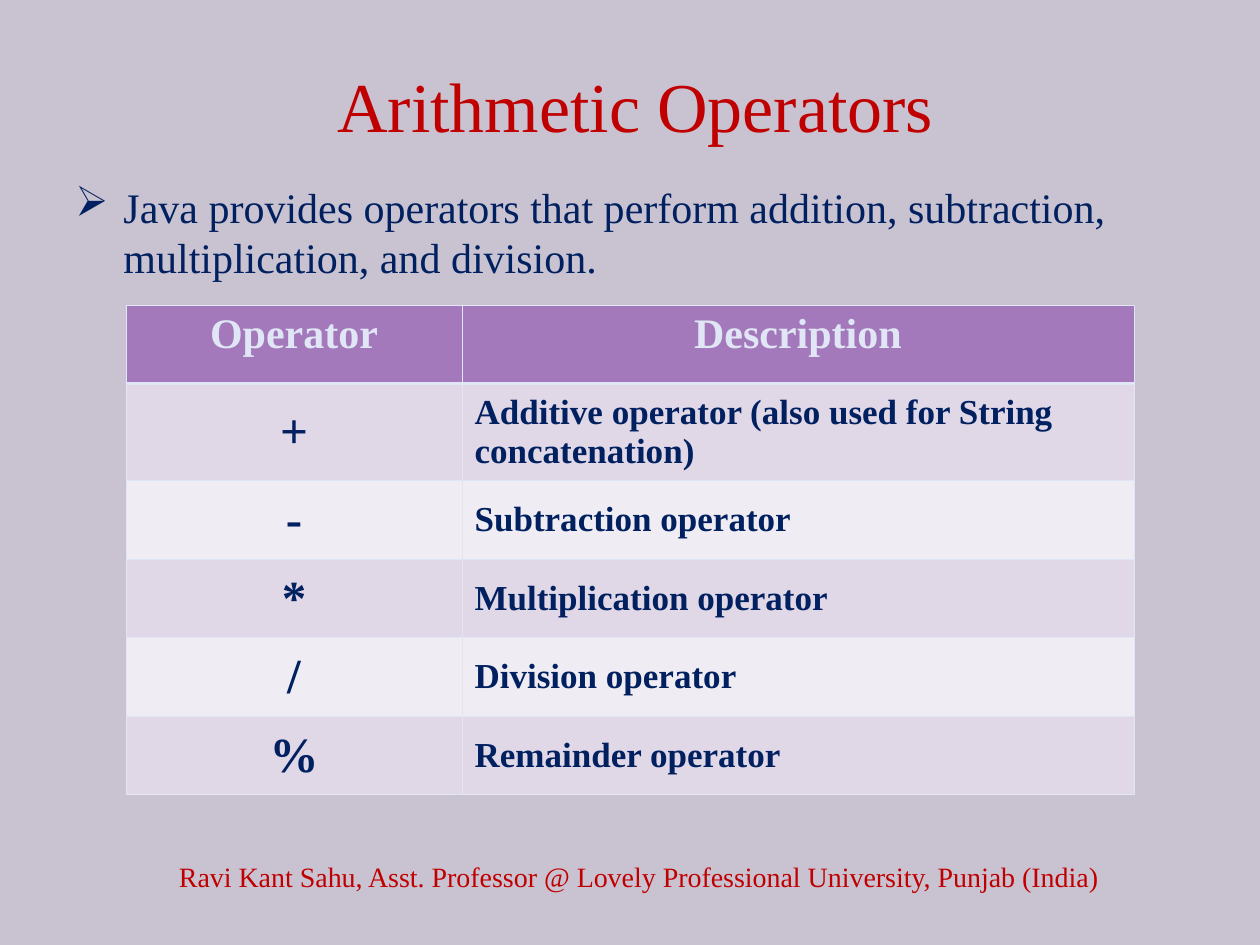
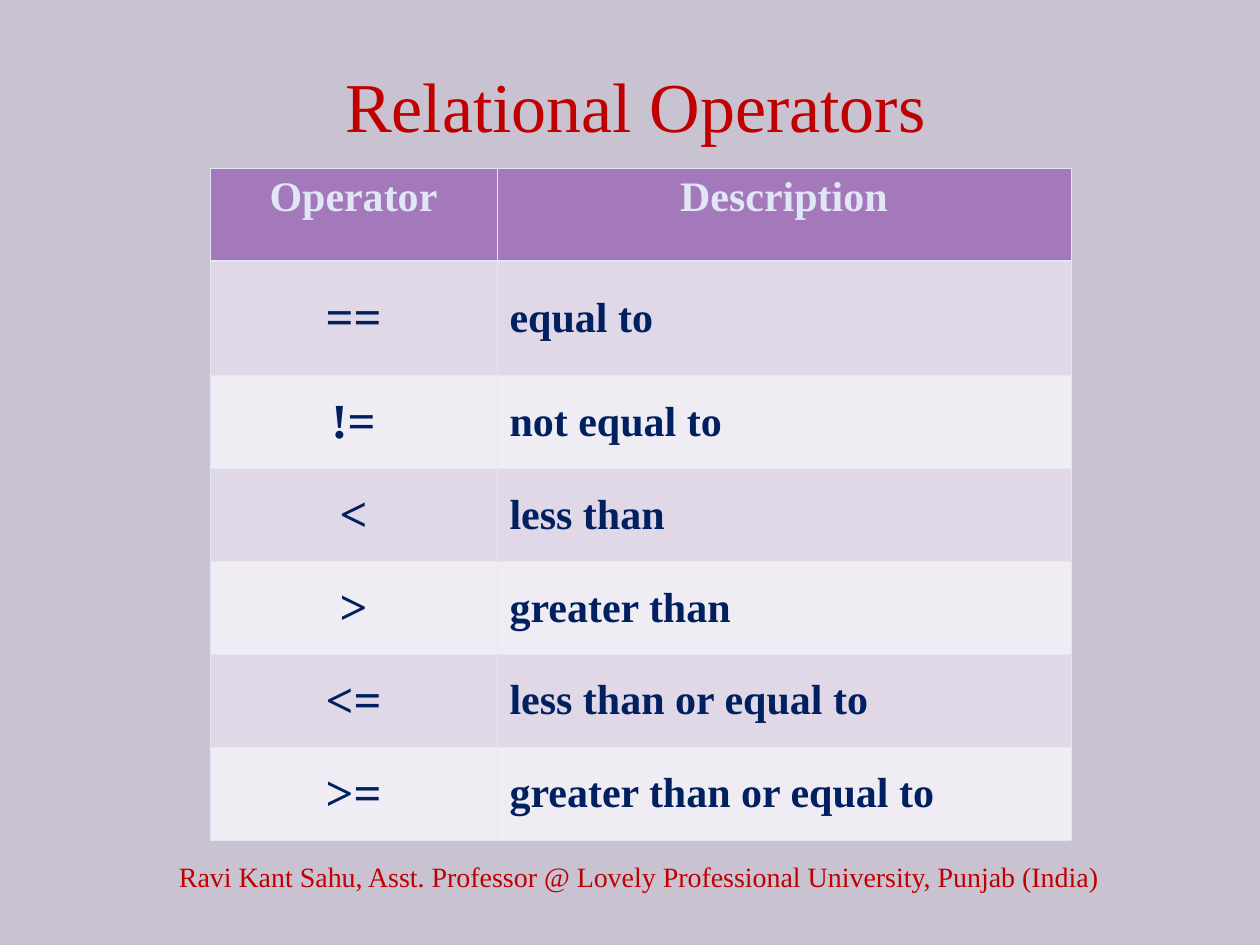
from lxml import etree
from pptx import Presentation
from pptx.dml.color import RGBColor
from pptx.enum.text import MSO_ANCHOR, PP_ALIGN
from pptx.oxml.ns import qn
from pptx.util import Pt

EMU_PER_PX = 914400 / 126
FONT = "Times New Roman"

BACKGROUND = RGBColor(0xC9, 0xC2, 0xD1)
RED = RGBColor(0xC0, 0x00, 0x00)
NAVY = RGBColor(0x00, 0x20, 0x60)
PALE_BLUE = RGBColor(0xE0, 0xE6, 0xF5)
PURPLE = RGBColor(0xA3, 0x79, 0xBB)
LILAC = RGBColor(0xE0, 0xD7, 0xE7)
PALE_LILAC = RGBColor(0xF0, 0xEC, 0xF3)

LEFT, CENTER = PP_ALIGN.LEFT, PP_ALIGN.CENTER
TOP, MIDDLE = MSO_ANCHOR.TOP, MSO_ANCHOR.MIDDLE

FOOTER = "Ravi Kant Sahu, Asst. Professor @ Lovely Professional University, Punjab (India)"
HEADINGS = ("Operator", "Description")
ARITHMETIC = [
    ("+", "Additive operator (also used for String concatenation)"),
    ("-", "Subtraction operator"),
    ("*", "Multiplication operator"),
    ("/", "Division operator"),
    ("%", "Remainder operator"),
]
RELATIONAL = [
    ("==", "equal to"),
    ("!=", "not equal to"),
    ("<", "less than"),
    (">", "greater than"),
    ("<=", "less than or equal to"),
    (">=", "greater than or equal to"),
]


def px(length):
    return round(length * EMU_PER_PX)


def add_bullet(para, symbol, color, indent):
    properties = para._p.get_or_add_pPr()
    properties.set("marL", str(px(indent)))
    properties.set("indent", str(-px(indent)))
    bullet_color = etree.SubElement(properties, qn("a:buClr"))
    etree.SubElement(bullet_color, qn("a:srgbClr"), val=str(color))
    etree.SubElement(properties, qn("a:buChar"), char=symbol)


def write(frame, text, *, size, color, bold=False, align=LEFT, bullet=None):
    """Fill a text frame or table cell frame with one formatted paragraph."""
    frame.word_wrap = True
    para = frame.paragraphs[0]
    para.alignment = align
    if bullet:
        add_bullet(para, bullet, color, indent=48)
    span = para.add_run()
    span.text = text
    span.font.name = FONT
    span.font.size = Pt(size)
    span.font.bold = bold
    span.font.color.rgb = color


def add_text(page, text, left, top, width, height, *, inset_top=6, anchor=TOP, **style):
    box = page.shapes.add_textbox(px(left), px(top), px(width), px(height))
    frame = box.text_frame
    frame.margin_top = px(inset_top)
    frame.vertical_anchor = anchor
    write(frame, text, **style)


def set_borders(cell, color, **widths):
    """Draw the cell sides given as L, R, T and B, in points."""
    properties = cell._tc.get_or_add_tcPr()
    for side in "LRTB":
        line = etree.SubElement(properties, qn(f"a:ln{side}"), w=str(Pt(widths[side])))
        fill = etree.SubElement(line, qn("a:solidFill"))
        etree.SubElement(fill, qn("a:srgbClr"), val=str(color))


def add_operator_table(page, rows, left, top, width, height, *, tall_row, description_size):
    """Rows share the height equally, except the taller first one under the header."""
    count = len(rows) + 1
    table = page.shapes.add_table(
        count, 2, px(left), px(top), px(width), px(height)).table
    table.columns[0].width = px(width / 3)
    table.columns[1].width = px(width * 2 / 3)
    normal_row = (height - tall_row) / (count - 1)
    thin, thick = 0.45, 1.47

    for row_index, texts in enumerate([HEADINGS, *rows]):
        is_header = row_index == 0
        table.rows[row_index].height = px(tall_row if row_index == 1 else normal_row)
        row_fill = PURPLE if is_header else (PALE_LILAC, LILAC)[row_index % 2]
        for column, text in enumerate(texts):
            cell = table.cell(row_index, column)
            set_borders(cell, PALE_BLUE, L=thin, R=thin,
                        T=thick if row_index == 1 else thin,
                        B=thick if is_header else thin)
            cell.fill.solid()
            cell.fill.fore_color.rgb = row_fill
            cell.vertical_anchor = TOP if is_header else MIDDLE
            write(cell.text_frame, text, bold=True,
                  size=24 if is_header else (28, description_size)[column],
                  color=PALE_BLUE if is_header else NAVY,
                  align=CENTER if is_header or column == 0 else LEFT)


def add_page(deck, title):
    page = deck.slides.add_slide(deck.slide_layouts[6])
    page.background.fill.solid()
    page.background.fill.fore_color.rgb = BACKGROUND
    add_text(page, title, 42, 42, 1187, 157, inset_top=20,
             size=40, color=RED, align=CENTER)
    add_text(page, FOOTER, 116, 851, 1046, 50, anchor=MIDDLE,
             size=16, color=RED, align=CENTER)
    return page


def main():
    deck = Presentation()
    deck.slide_width, deck.slide_height = px(1260), px(945)

    page = add_page(deck, "Arithmetic Operators")
    add_text(page, "Java provides operators that perform addition, subtraction, "
             "multiplication, and division.", 63, 168, 1165, 725, inset_top=13,
             size=24, color=NAVY, bullet="➢")
    add_operator_table(page, ARITHMETIC, 126, 305, 1008, 490,
                       tall_row=97, description_size=20)

    page = add_page(deck, "Relational Operators")
    add_operator_table(page, RELATIONAL, 210, 168, 861, 672,
                       tall_row=115, description_size=24)

    deck.save("out.pptx")


if __name__ == "__main__":
    main()
